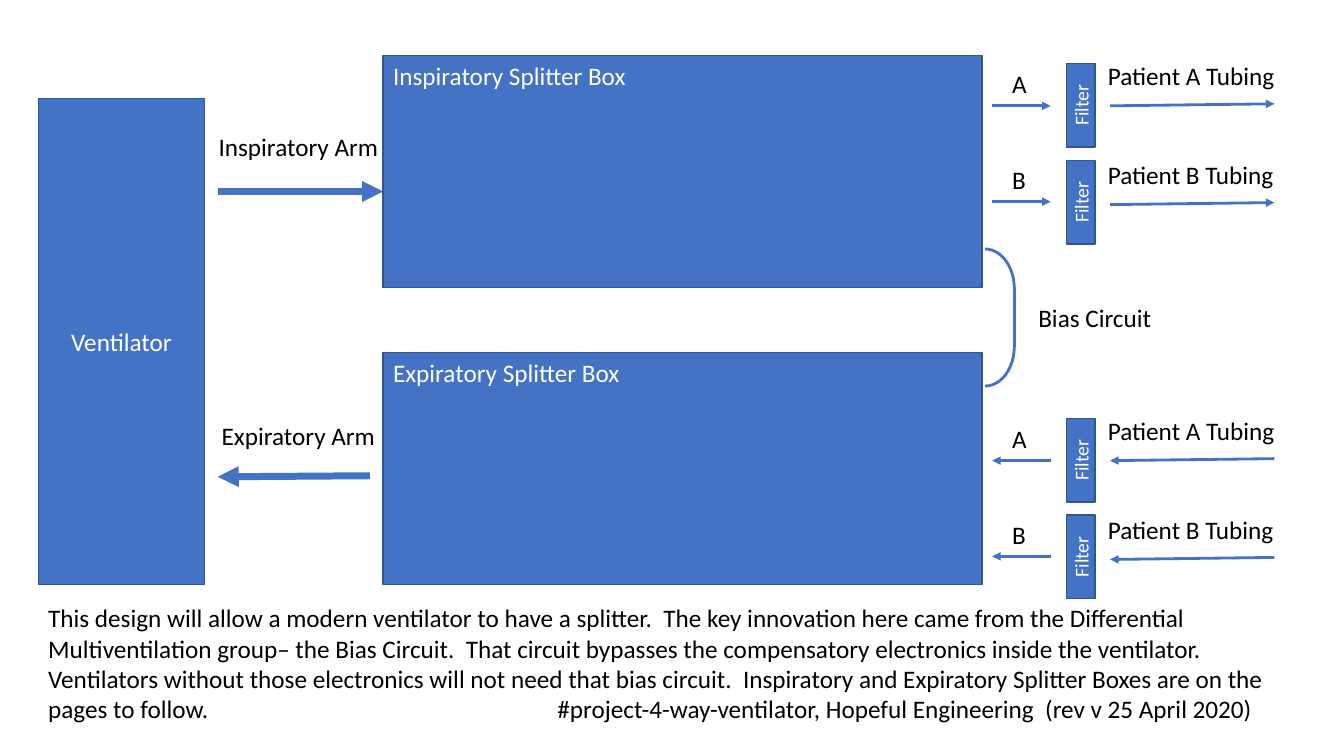
"""Build the ventilator splitter diagram slide."""
from lxml import etree
from pptx import Presentation
from pptx.dml.color import RGBColor
from pptx.enum.shapes import MSO_CONNECTOR, MSO_SHAPE
from pptx.enum.text import MSO_ANCHOR, MSO_AUTO_SIZE, PP_ALIGN
from pptx.oxml.ns import qn
from pptx.util import Inches, Pt

BLUE, EDGE, WHITE, BLACK = "4472C4", "325491", "FFFFFF", "000000"
FONT = "Calibri"

SPLITTERS = [("Inspiratory Splitter Box", 0.55), ("Expiratory Splitter Box", 3.5)]
ARMS = [
    ("Inspiratory Arm", (2.07, 1.25, 1.8, 0.4), (2.16, 1.9), (3.8, 1.9)),
    ("Expiratory Arm", (2.1, 4.12, 1.74, 0.4), (3.67, 4.72), (2.16, 4.73)),
]
PATIENTS = ["A", "B"]
FLOWS = [(0, True), (3.52, False)]
PORT_PITCH, FILTER_PITCH, TUBING_PITCH = 0.95, 0.96, 0.98
BIAS_ARCS = [((9.48, 2.47, 0.58, 0.78), 0), ((9.38, 3.15, 0.78, 0.58), 90)]
NOTE = (
    "This design will allow a modern ventilator to have a splitter.  The key innovation "
    "here came from the Differential Multiventilation group– the Bias Circuit.  That circuit "
    "bypasses the compensatory electronics inside the ventilator.  Ventilators without those "
    "electronics will not need that bias circuit.  Inspiratory and Expiratory Splitter Boxes "
    "are on the pages to follow.\t#project-4-way-ventilator, Hopeful Engineering  "
    "(rev v 25 April 2020)"
)


def rgb(value):
    return RGBColor.from_string(value)


def inches(values):
    return [Inches(value) for value in values]


def write(shape, text, size, color, align=PP_ALIGN.LEFT, anchor=MSO_ANCHOR.TOP):
    frame = shape.text_frame
    frame.vertical_anchor = anchor
    paragraph = frame.paragraphs[0]
    paragraph.alignment = align
    run = paragraph.add_run()
    run.text = text
    run.font.name, run.font.size = FONT, Pt(size)
    run.font.color.rgb = rgb(color)


def add_label(shapes, text, box, wrap=False):
    label = shapes.add_textbox(*inches(box))
    label.text_frame.word_wrap = wrap
    label.text_frame.auto_size = MSO_AUTO_SIZE.SHAPE_TO_FIT_TEXT
    write(label, text, 18, BLACK)
    return label


def add_block(shapes, text, box, size=18, align=PP_ALIGN.CENTER, anchor=MSO_ANCHOR.MIDDLE):
    block = shapes.add_shape(MSO_SHAPE.RECTANGLE, *inches(box))
    block.shadow.inherit = False
    block.fill.solid()
    block.fill.fore_color.rgb = rgb(BLUE)
    block.line.color.rgb = rgb(EDGE)
    block.line.width = Pt(1)
    write(block, text, size, WHITE, align, anchor)
    return block


def add_line(shapes, start, end, width=2, arrow=True):
    line = shapes.add_connector(MSO_CONNECTOR.STRAIGHT, *inches(start + end))
    line.line.color.rgb = rgb(BLUE)
    line.line.width = Pt(width)
    if arrow:
        etree.SubElement(line.line._get_or_add_ln(), qn("a:tailEnd"), type="triangle")
    etree.SubElement(line._element.spPr, qn("a:effectLst"))


def add_flow(shapes, start, end, outward):
    add_line(shapes, *((start, end) if outward else (end, start)))


def add_patient(shapes, name, index, offset, outward):
    port = 1.05 + offset + index * PORT_PITCH
    filter_top = 0.63 + offset + index * FILTER_PITCH
    tubing = 1.05 + offset + index * TUBING_PITCH
    add_flow(shapes, (9.84, port), (10.42, port), outward)
    add_label(shapes, name, (9.94, port - 0.42, 0.34, 0.4))
    block = add_block(shapes, "Filter", (10.58, filter_top, 0.28, 0.83), 14)
    block.text_frame._txBody.bodyPr.set("vert", "vert270")
    add_flow(shapes, (11.01, tubing), (12.64, tubing - 0.02), outward)
    add_label(shapes, f"Patient {name} Tubing", (10.89, tubing - 0.5, 1.87, 0.4))


prs = Presentation()
prs.slide_width, prs.slide_height = Inches(13.33), Inches(7.5)
slide = prs.slides.add_slide(prs.slide_layouts[6])

for text, box, start, end in ARMS:
    add_line(slide.shapes, start, end, 5)
    add_label(slide.shapes, text, box)

add_block(slide.shapes, "Ventilator", (0.38, 0.98, 1.65, 4.82))
for text, top in SPLITTERS:
    add_block(slide.shapes, text, (3.8, top, 5.94, 2.3),
              align=PP_ALIGN.LEFT, anchor=MSO_ANCHOR.TOP)

for offset, outward in FLOWS:
    circuit = slide.shapes.add_group_shape().shapes
    for index, name in enumerate(PATIENTS):
        add_patient(circuit, name, index, offset, outward)

note = add_label(slide.shapes, NOTE, (0.38, 5.93, 12.37, 1.31), wrap=True)
tabs = etree.SubElement(note.text_frame.paragraphs[0]._p.get_or_add_pPr(), qn("a:tabLst"))
etree.SubElement(tabs, qn("a:tab"), pos=str(Inches(5.05)), algn="l")

bias = slide.shapes.add_group_shape().shapes
for box, rotation in BIAS_ARCS:
    arc = bias.add_shape(MSO_SHAPE.ARC, *inches(box))
    arc.rotation = rotation
    arc.shadow.inherit = False
    arc.fill.background()
    arc.line.color.rgb = rgb(BLUE)
    arc.line.width = Pt(2)
add_line(bias, (10.06, 2.85), (10.06, 3.44), arrow=False)
add_label(bias, "Bias Circuit", (10.2, 2.95, 1.33, 0.4))

prs.save("out.pptx")
